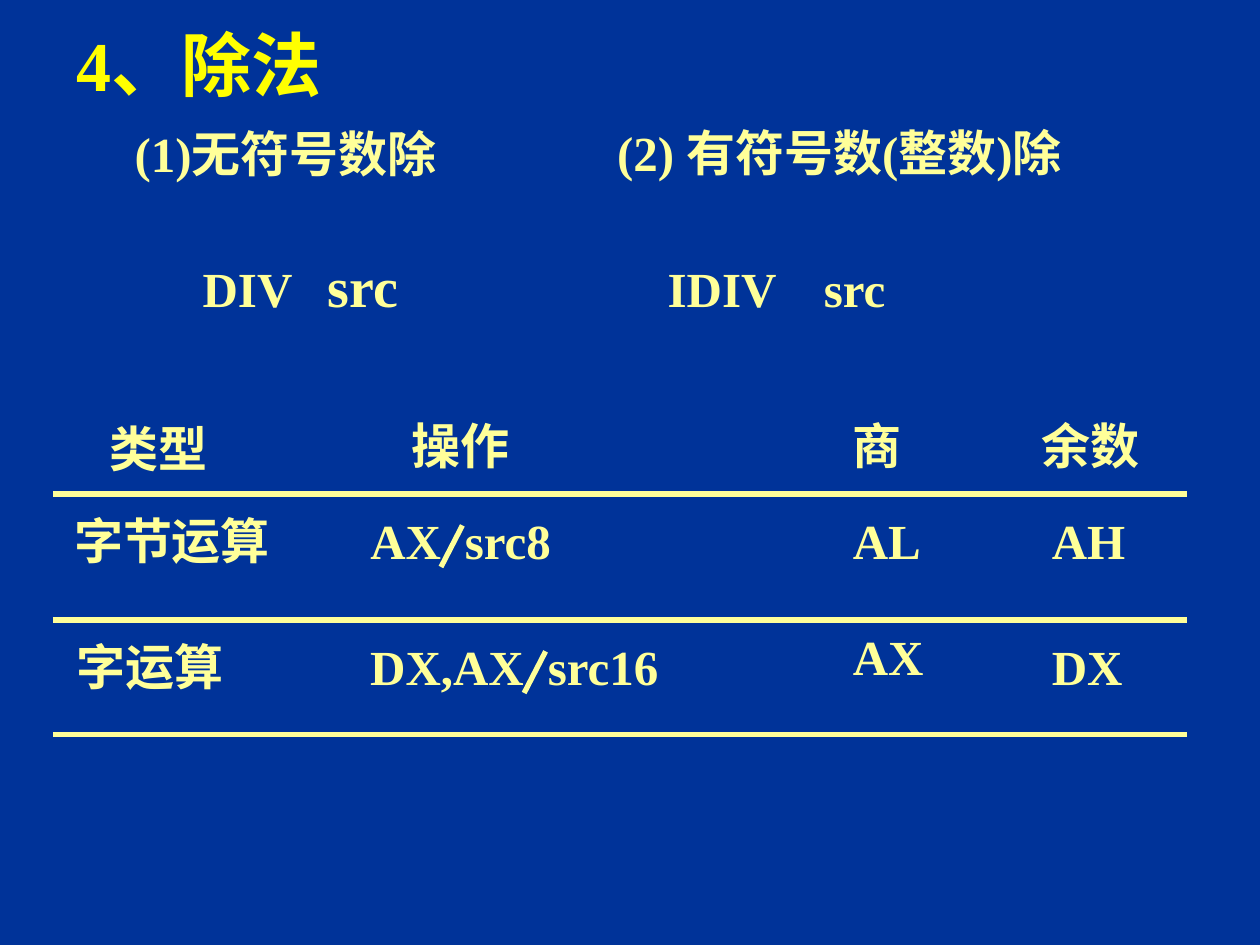
from dataclasses import dataclass

from lxml.etree import SubElement
from pptx import Presentation
from pptx.dml.color import RGBColor
from pptx.enum.shapes import MSO_CONNECTOR
from pptx.enum.text import MSO_ANCHOR, MSO_AUTO_SIZE, PP_ALIGN
from pptx.oxml.ns import qn
from pptx.util import Inches, Pt


@dataclass(frozen=True)
class Theme:
    background: RGBColor = RGBColor(0x00, 0x33, 0x99)
    title: RGBColor = RGBColor(0xFF, 0xFF, 0x00)
    body: RGBColor = RGBColor(0xFF, 0xFF, 0x99)
    font: str = "Times New Roman"
    title_size: int = 40
    large_size: int = 32
    body_size: int = 28
    line_width: int = 3


class Page:
    def __init__(self, deck, theme):
        self.theme = theme
        self.slide = deck.slides.add_slide(deck.slide_layouts[6])
        fill = self.slide.background.fill
        fill.solid()
        fill.fore_color.rgb = theme.background

    def add_span(self, para, text, size, color):
        span = para.add_run()
        span.text = text
        span.font.name = self.theme.font
        span.font.size = Pt(size)
        span.font.bold = True
        span.font.color.rgb = color

    def add_box(self, left, top, width, height):
        return self.slide.shapes.add_textbox(
            Inches(left), Inches(top), Inches(width), Inches(height))

    def title(self, text, left, top, width, height):
        frame = self.add_box(left, top, width, height).text_frame
        frame.word_wrap = True
        frame.vertical_anchor = MSO_ANCHOR.MIDDLE
        para = frame.paragraphs[0]
        para.alignment = PP_ALIGN.CENTER
        self.add_span(para, text, self.theme.title_size, self.theme.title)

    def text(self, spans, left, top, width, height=0.57, tabs=()):
        """Spans are (text, size) pairs; tabs are inches from the text edge."""
        frame = self.add_box(left, top, width, height).text_frame
        frame.word_wrap = bool(tabs)
        frame.auto_size = MSO_AUTO_SIZE.SHAPE_TO_FIT_TEXT
        para = frame.paragraphs[0]
        if tabs:
            tab_list = SubElement(para._p.get_or_add_pPr(), qn("a:tabLst"))
            for position in tabs:
                SubElement(tab_list, qn("a:tab"), pos=str(Inches(position)), algn="l")
        for text, size in spans:
            self.add_span(para, text, size, self.theme.body)

    def label(self, text, left, top, width, tabs=()):
        self.text([(text, self.theme.body_size)], left, top, width, tabs=tabs)

    def line(self, x1, y1, x2, y2):
        line = self.slide.shapes.add_connector(
            MSO_CONNECTOR.STRAIGHT, Inches(x1), Inches(y1), Inches(x2), Inches(y2))
        line.line.color.rgb = self.theme.body
        line.line.width = Pt(self.theme.line_width)
        SubElement(line._element.spPr, qn("a:effectLst"))


def main():
    theme = Theme()
    deck = Presentation()
    deck.slide_width, deck.slide_height = Inches(10), Inches(7.5)
    page = Page(deck, theme)

    # Title and the two kinds of division
    page.title("4、除法", 0.33, 0.17, 2.5, 0.67)
    page.label("(1)无符号数除", 0.97, 0.93, 2.69)
    page.label("(2) 有符号数(整数)除", 4.8, 0.92, 4.19)

    # Instruction formats
    page.text(
        [("DIV\t", theme.body_size), ("src", theme.large_size),
         ("\tIDIV\tsrc", theme.body_size)],
        1.51, 1.95, 5.65, 0.64, tabs=(0.99, 3.69, 4.93))

    # Column headings
    for text, left, top, width in [
        ("类型", 0.77, 3.27, 0.99),
        ("操作", 3.17, 3.25, 0.99),
        ("商", 6.67, 3.25, 0.6),
        ("余数", 8.17, 3.25, 0.99),
    ]:
        page.label(text, left, top, width)

    # Rules between the rows
    for y in (3.92, 4.92, 5.83):
        page.line(0.42, y, 9.42, y)

    # Byte operation
    page.label("字节运算", 0.49, 4, 1.77)
    page.label("AX\tsrc8", 2.84, 4, 1.75, tabs=(0.75,))
    page.label("AL", 6.67, 4, 0.74)
    page.label("AH", 8.25, 4, 0.78)

    # Word operation
    page.label("字运算", 0.51, 5, 1.38)
    page.label("DX,AX\tsrc16", 2.84, 5, 2.6, tabs=(1.41,))
    page.label("AX", 6.67, 4.92, 0.76)
    page.label("DX", 8.25, 5, 0.76)

    # Division strokes
    for x, y in [(4.33, 5.17), (3.67, 4.17)]:
        page.line(x, y, x - 0.17, y + 0.33)

    deck.save("out.pptx")


if __name__ == "__main__":
    main()
